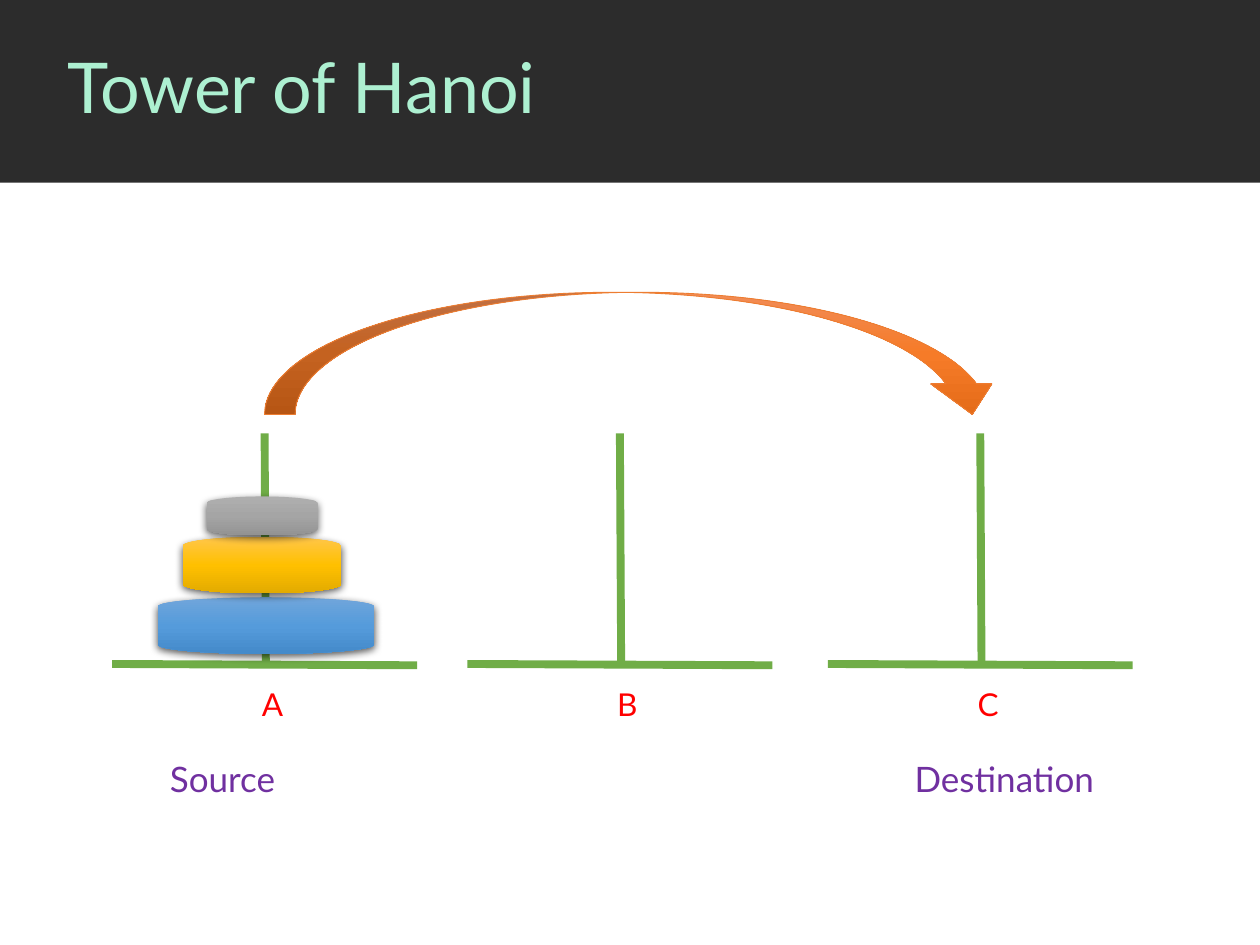
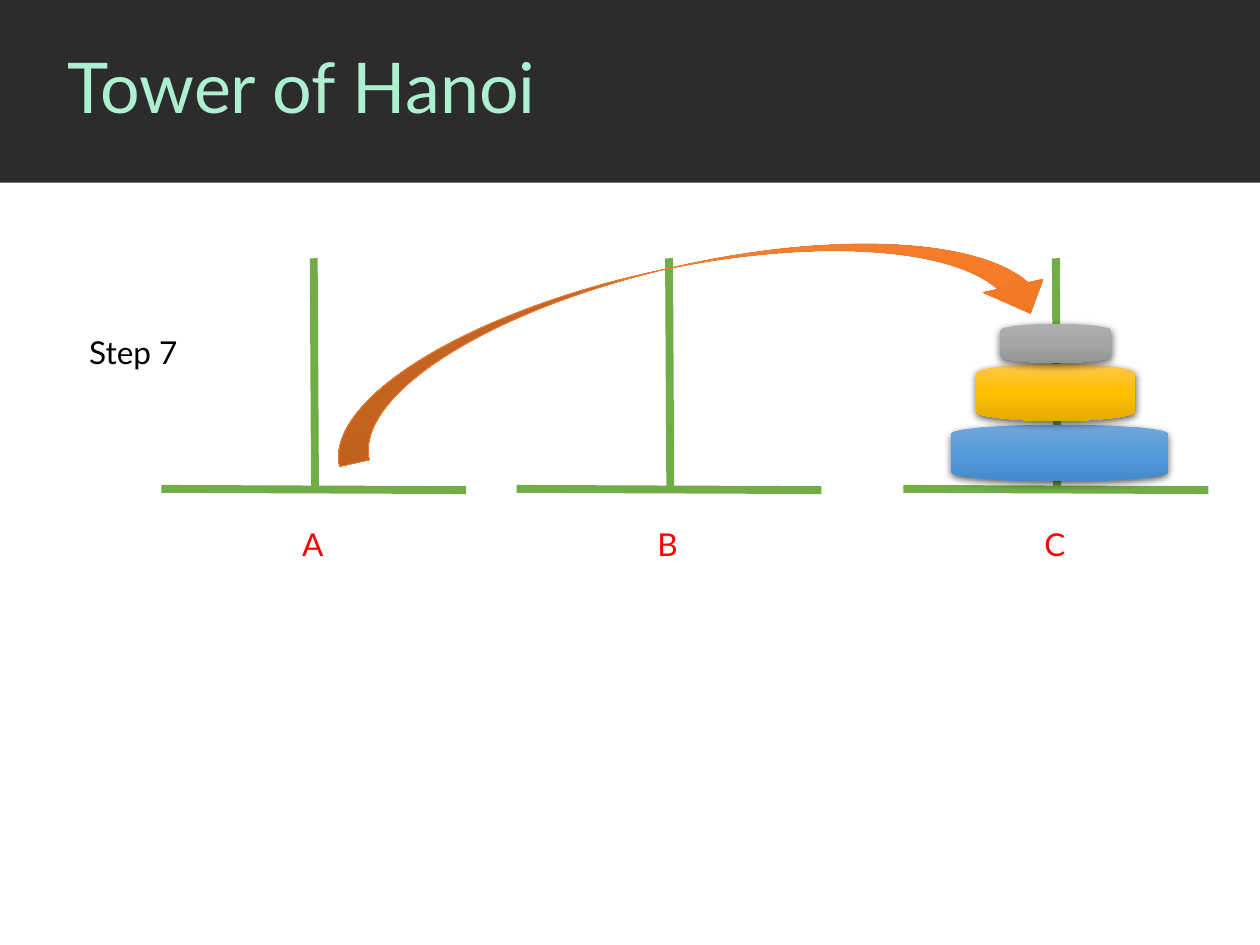
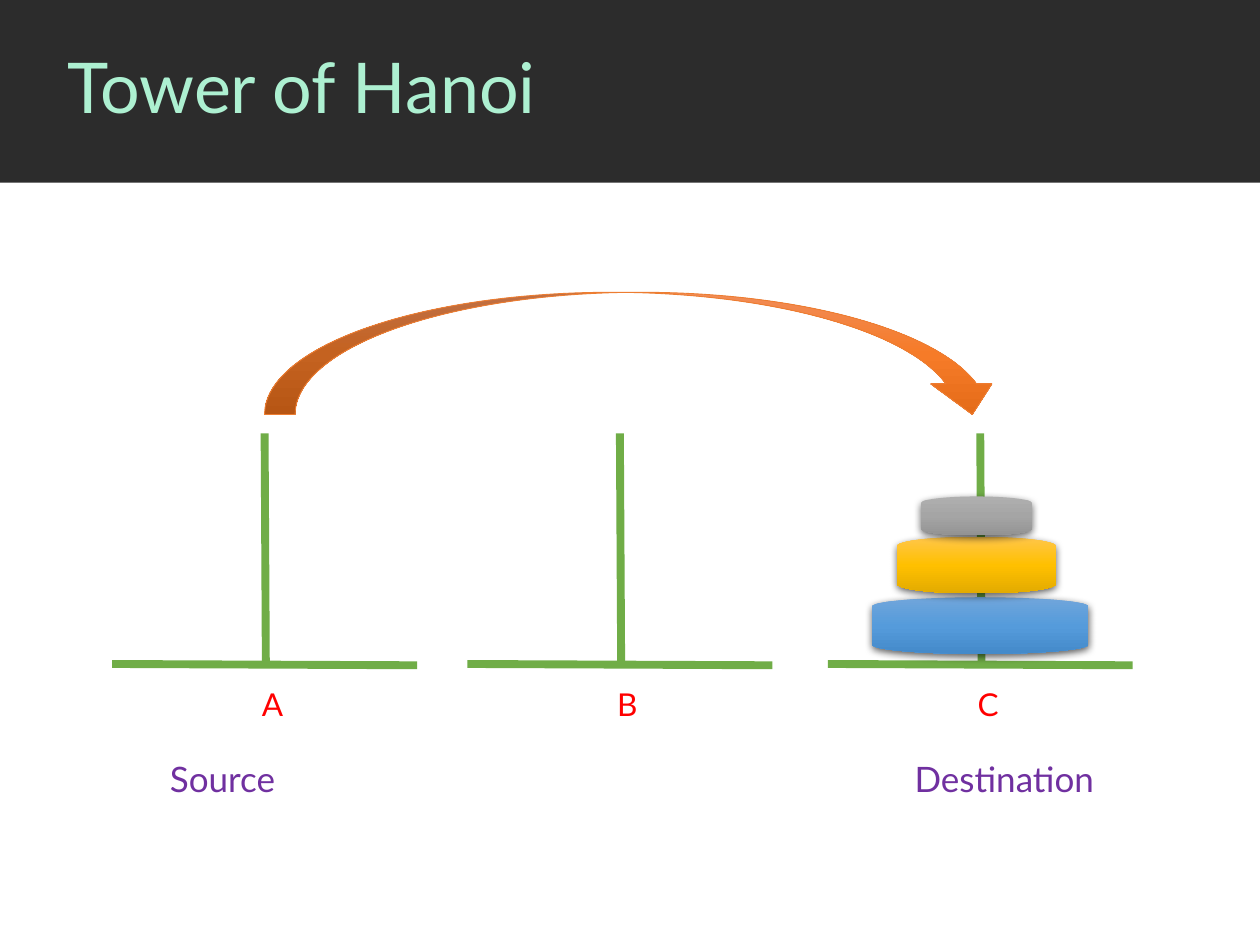
from copy import deepcopy

from lxml import etree
from pptx import Presentation
from pptx.dml.color import RGBColor
from pptx.enum.shapes import MSO_CONNECTOR, MSO_SHAPE
from pptx.enum.text import MSO_ANCHOR, MSO_AUTO_SIZE
from pptx.oxml.ns import qn
from pptx.util import Inches, Pt

FONT = "Lato"
BAND, MINT, GREEN = "2C2C2C", "ADF0D1", "70AD47"
RED, PURPLE, BLACK, ORANGE = "FF0000", "7030A0", "000000", "ED7D31"
ARROW_GRADIENT = ("F18C57", "F67B28", "E56C19")

POLE_H, BASE_REACH = 1.83, 1.21
PEGS = (("A", 0.41), ("B", 0.44), ("C", 0.39))  # label and its box width
# Width, height, centre from the pole, top from the pole's top, gradient
DISKS = (
    (1.72, 0.45, 0.01, 1.30, ("71A6DB", "559BDB", "448ACA")),
    (1.26, 0.45, -0.02, 0.82, ("FFC64B", "FFC000", "E3AB00")),
    (0.88, 0.31, -0.02, 0.50, ("AFAFAF", "A5A5A5", "939393")),
)


def rgb(value):
    return RGBColor.from_string(value)


def add_shape(slide, kind, x, y, w, h):
    sp = slide.shapes.add_shape(kind, Inches(x), Inches(y), Inches(w), Inches(h))
    sp.shadow.inherit = False
    sp.line.fill.background()
    return sp


def add_text(slide, text, x, y, w, h, size, color):
    box = slide.shapes.add_textbox(Inches(x), Inches(y), Inches(w), Inches(h))
    tf = box.text_frame
    tf.word_wrap = True
    tf.auto_size = MSO_AUTO_SIZE.SHAPE_TO_FIT_TEXT
    p = tf.paragraphs[0]
    p.text = text
    p.font.name, p.font.size, p.font.color.rgb = FONT, Pt(size), rgb(color)
    return tf


def add_line(slide, x1, y1, x2, y2):
    line = slide.shapes.add_connector(
        MSO_CONNECTOR.STRAIGHT, Inches(x1), Inches(y1), Inches(x2), Inches(y2))
    line.line.color.rgb = rgb(GREEN)
    line.line.width = Pt(4.5)
    etree.SubElement(line._element.spPr, qn("a:effectLst"))


def fill_gradient(sp, colors):
    """Fill from top to bottom with three evenly spaced colours."""
    sp.fill.gradient()
    sp.fill.gradient_angle = 270
    stops = sp._element.spPr.find(".//" + qn("a:gsLst"))
    stops.append(deepcopy(stops[0]))
    for i, (stop, color) in enumerate(zip(sp.fill.gradient_stops, colors)):
        stop.position = i / 2
        stop.color.rgb = rgb(color)


def add_drop_shadow(sp):
    effects = sp._element.spPr.find(qn("a:effectLst"))
    shadow = etree.SubElement(
        effects, qn("a:outerShdw"), blurRad=str(Pt(4.5)), dist=str(Pt(1.5)),
        dir="5400000", algn="ctr", rotWithShape="0")
    color = etree.SubElement(shadow, qn("a:srgbClr"), val=BLACK)
    etree.SubElement(color, qn("a:alpha"), val="63000")


def new_slide(prs):
    """Add a blank slide with the dark band and the title."""
    slide = prs.slides.add_slide(prs.slide_layouts[6])
    band = add_shape(slide, MSO_SHAPE.RECTANGLE, 0, 0, 10, 1.45)
    band.fill.solid()
    band.fill.fore_color.rgb = rgb(BAND)
    tf = add_text(slide, "Tower of Hanoi", 0.44, 0, 9.56, 1.44, 40, MINT)
    tf.auto_size = MSO_AUTO_SIZE.NONE
    tf.vertical_anchor = MSO_ANCHOR.MIDDLE
    tf.paragraphs[0].line_spacing = 0.9
    return slide


def add_pegs(slide, poles, top, label_dx, label_dy):
    base = top + POLE_H
    for x, (name, width) in zip(poles, PEGS):
        add_line(slide, x, top, x + 0.01, base)
        add_line(slide, x + BASE_REACH, base + 0.01, x - BASE_REACH, base)
        add_text(slide, name, x + label_dx, top + label_dy, width, 0.4, 18, RED)


def add_disks(slide, pole, top):
    for w, h, dx, dy, colors in DISKS:
        disk = add_shape(slide, MSO_SHAPE.FLOWCHART_MAGNETIC_DISK,
                         pole + dx - w / 2, top + dy, w, h)
        fill_gradient(disk, colors)
        add_drop_shadow(disk)


def add_move_arrow(slide, x, y, rotation=0):
    arrow = add_shape(slide, MSO_SHAPE.CURVED_DOWN_ARROW, x, y, 5.86, 0.97)
    fill_gradient(arrow, ARROW_GRADIENT)
    arrow.line.color.rgb = rgb(ORANGE)
    arrow.line.width = Pt(0.5)
    arrow.rotation = rotation


def add_overview_slide(prs, disk_x):
    """Show source and destination, with all disks stacked at disk_x."""
    slide = new_slide(prs)
    poles, top = (2.1, 4.92, 7.78), 3.44
    add_pegs(slide, poles, top, -0.12, 1.95)
    add_disks(slide, disk_x, top)
    for text, x in (("Source", poles[0] - 0.85), ("Destination", poles[2] - 0.62)):
        add_text(slide, text, x, top + 2.52, 1.82, 0.44, 20, PURPLE)
    add_move_arrow(slide, poles[0], top - 1.12)


def add_step_slide(prs, step):
    slide = new_slide(prs)
    poles, top = (2.49, 5.31, 8.38), 2.05
    add_pegs(slide, poles, top, -0.19, 2.07)
    add_disks(slide, poles[2] + 0.02, top + 0.02)
    add_text(slide, step, 0.61, top + 0.54, 1, 0.4, 18, BLACK)
    add_move_arrow(slide, poles[0] + 0.03, top + 0.06, 347.5)


def main():
    prs = Presentation()
    prs.slide_width, prs.slide_height = Inches(10), Inches(7.5)
    add_overview_slide(prs, disk_x=2.1)
    add_step_slide(prs, "Step 7")
    add_overview_slide(prs, disk_x=7.77)
    prs.save("out.pptx")


if __name__ == "__main__":
    main()
